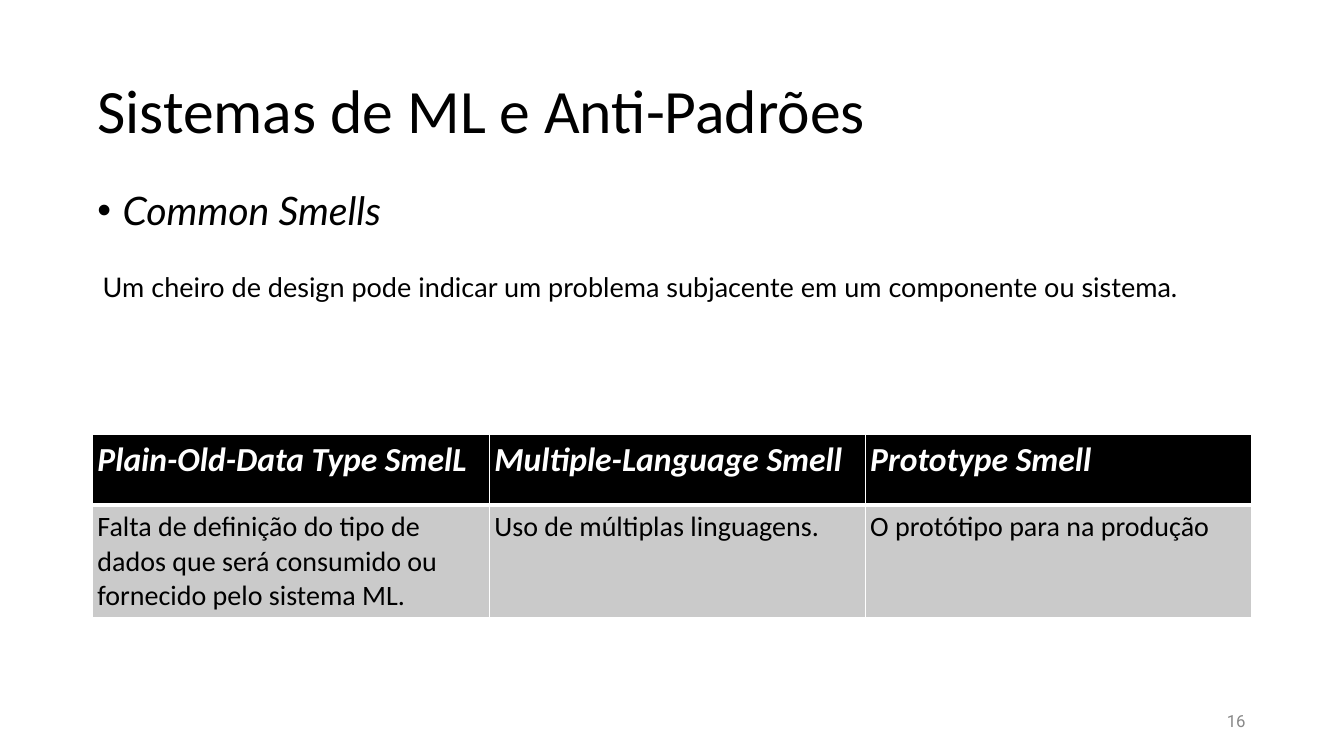
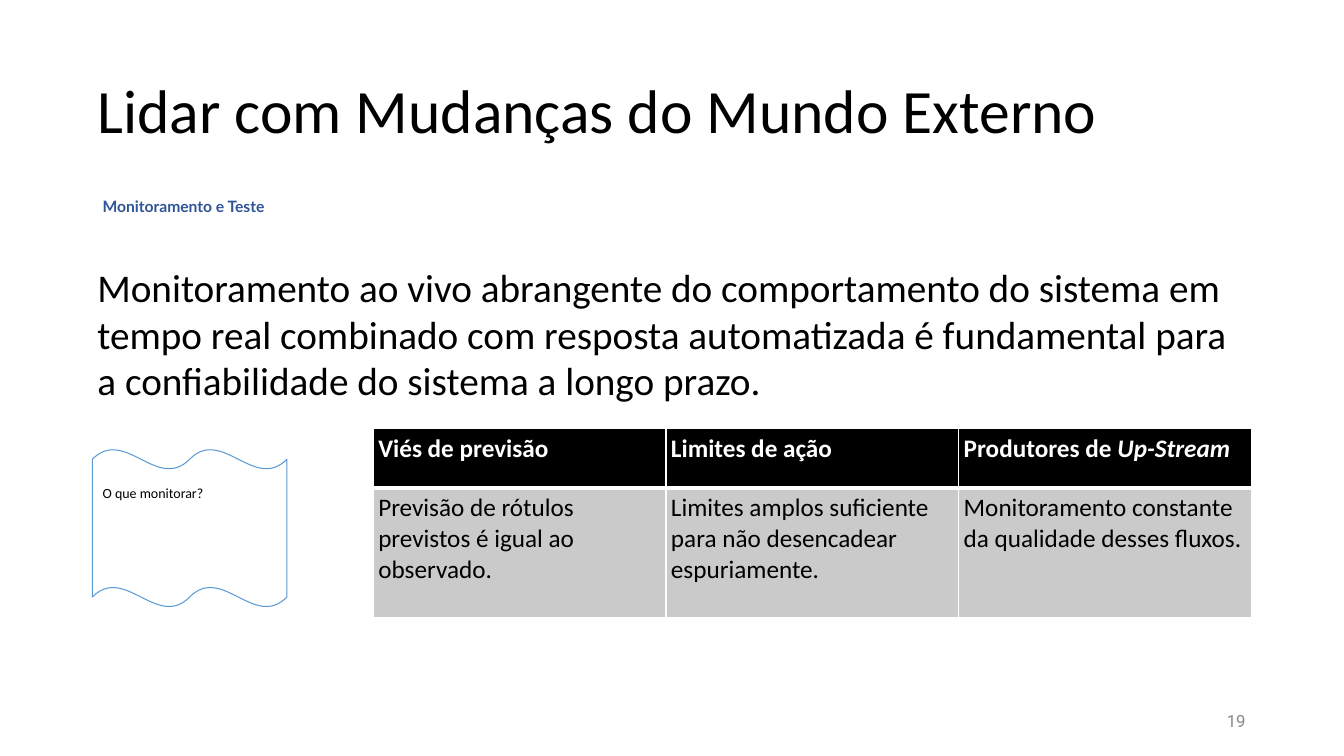
from lxml import etree
from pptx import Presentation
from pptx.dml.color import RGBColor
from pptx.enum.shapes import MSO_SHAPE
from pptx.enum.text import MSO_ANCHOR, MSO_AUTO_SIZE, PP_ALIGN
from pptx.oxml.ns import qn
from pptx.util import Pt

LEFT, RIGHT = PP_ALIGN.LEFT, PP_ALIGN.RIGHT
TOP, MIDDLE = MSO_ANCHOR.TOP, MSO_ANCHOR.MIDDLE
NO_AUTOFIT = MSO_AUTO_SIZE.NONE
DOUBLE_WAVE = MSO_SHAPE.DOUBLE_WAVE
TITLE_AND_CONTENT = 1

COLORS = {
    "text": "000000",
    "white": "FFFFFF",
    "header": "000000",
    "cell": "CACACA",
    "accent": "2F5597",
    "outline": "5B9BD5",
    "number": "888888",
}
MARGIN_X = 66
CONTENT_WIDTH = 828
INSET = 3.6
BULLET_INDENT = 18


def rgb(name):
    return RGBColor.from_string(COLORS[name])


def style_span(span, size, font="Calibri", color="text", bold=False, italic=False):
    span.font.size = Pt(size)
    span.font.name = font
    span.font.color.rgb = rgb(color)
    span.font.bold = bold
    span.font.italic = italic


def place(shape, left, top, width, height):
    shape.left, shape.top = Pt(left), Pt(top)
    shape.width, shape.height = Pt(width), Pt(height)


def write(shape, text, size, spacing=1.0, align=LEFT, anchor=TOP, wrap=True, **style):
    frame = shape.text_frame
    frame.text = text
    frame.auto_size = NO_AUTOFIT
    frame.word_wrap = wrap
    frame.vertical_anchor = anchor
    frame.margin_left = frame.margin_right = Pt(INSET)
    frame.margin_top = frame.margin_bottom = Pt(INSET)
    para = frame.paragraphs[0]
    para.alignment = align
    para.line_spacing = spacing
    para.space_before = Pt(0)
    style_span(para.runs[0], size, **style)


def set_bullet(para, char=None):
    """Give the paragraph a hanging bullet, or none without a character."""
    props = para._p.get_or_add_pPr()
    indent = Pt(BULLET_INDENT) if char else 0
    props.set("marL", str(indent))
    props.set("indent", str(-indent))
    if char:
        etree.SubElement(props, qn("a:buFont")).set("typeface", "Arial")
        etree.SubElement(props, qn("a:buChar")).set("char", char)
    else:
        etree.SubElement(props, qn("a:buNone"))


def add_page(deck, title, number):
    page = deck.slides.add_slide(deck.slide_layouts[TITLE_AND_CONTENT])
    place(page.shapes.title, MARGIN_X, 29, CONTENT_WIDTH, 104.4)
    write(page.shapes.title, title, 44, spacing=0.9, anchor=MIDDLE)
    add_text(page, (873.4, 505.4, 20, 19.4), number, 12, align=RIGHT,
             anchor=MIDDLE, wrap=False, font="Roboto", color="number")
    return page


def fill_body(page, top, height, text, bullet=None, **style):
    body = page.placeholders[1]
    place(body, MARGIN_X, top, CONTENT_WIDTH, height)
    write(body, text, 28, **style)
    set_bullet(body.text_frame.paragraphs[0], bullet)


def add_text(page, bounds, text, size, **style):
    box = page.shapes.add_textbox(*map(Pt, bounds))
    write(box, text, size, **style)


def set_borders(cell, top, bottom):
    """Draw white cell borders; the fill must be set afterwards."""
    props = cell._tc.get_or_add_tcPr()
    for side, width in (("L", 1), ("R", 1), ("T", top), ("B", bottom)):
        line = etree.SubElement(props, qn(f"a:ln{side}"), w=str(Pt(width)))
        fill = etree.SubElement(line, qn("a:solidFill"))
        etree.SubElement(fill, qn("a:srgbClr"), val=COLORS["white"])


def fill_cell(cell, spans, is_header, size):
    """Write (text, italic) spans into a header or content cell."""
    cell.margin_left = cell.margin_right = Pt(INSET)
    cell.margin_top = cell.margin_bottom = Pt(INSET)
    set_borders(cell, *((1, 3) if is_header else (3, 1)))
    cell.fill.solid()
    cell.fill.fore_color.rgb = rgb("header" if is_header else "cell")
    para = cell.text_frame.paragraphs[0]
    for text, italic in spans:
        span = para.add_run()
        span.text = text
        style_span(span, size, color="white" if is_header else "text",
                   bold=is_header, italic=italic)


def add_table(page, left, top, widths, heights, headers, contents, sizes):
    rows = [headers, [[(text, False)] for text in contents]]
    frame = page.shapes.add_table(len(rows), len(widths), Pt(left), Pt(top),
                                  Pt(sum(widths)), Pt(sum(heights)))
    table = frame.table
    for column, width in zip(table.columns, widths):
        column.width = Pt(width)
    for index, (row, height) in enumerate(zip(rows, heights)):
        table.rows[index].height = Pt(height)
        for cell, spans in zip(table.rows[index].cells, row):
            fill_cell(cell, spans, index == 0, sizes[index])


def add_wave(page, left, top, width, height):
    wave = page.shapes.add_shape(DOUBLE_WAVE, Pt(left), Pt(top), Pt(width), Pt(height))
    wave.shadow.inherit = False
    wave.fill.background()
    wave.line.color.rgb = rgb("outline")
    wave.line.width = Pt(0.75)


def add_smells_page(deck):
    page = add_page(deck, "Sistemas de ML e Anti-Padrões", "16")
    fill_body(page, 133.2, 42, "Common Smells", bullet="•", spacing=0.9,
              font="Lato", italic=True)
    add_text(page, (69.8, 192.2, 821, 80.6),
             "Um cheiro de design pode indicar um problema subjacente em um "
             "componente ou sistema.", 19.3, spacing=0.9, font="Lato")
    names = ["Plain-Old-Data Type SmelL", "Multiple-Language Smell", "Prototype Smell"]
    add_table(
        page, MARGIN_X, 310.3, [283.5, 268.5, 276], [50.4, 80],
        [[(name, True)] for name in names],
        ["Falta de definição do tipo de dados que será consumido ou fornecido "
         "pelo sistema ML.",
         "Uso de múltiplas linguagens.",
         "O protótipo para na produção"],
        sizes=(24, 20))


def add_monitoring_page(deck):
    page = add_page(deck, "Lidar com Mudanças do Mundo Externo", "19")
    fill_body(page, 185.8, 113,
              "Monitoramento ao vivo abrangente do comportamento do sistema em tempo "
              "real combinado com resposta automatizada é fundamental para a "
              "confiabilidade do sistema a longo prazo.", spacing=0.99)
    add_text(page, (69.8, 135.4, 764, 49.7), "Monitoramento e Teste", 11.2,
             spacing=1.1, font="Lato", color="accent", bold=True)
    add_text(page, (69.8, 345.6, 177.8, 51), "O que monitorar?", 10, spacing=0.72)
    add_wave(page, MARGIN_X, 321, 139, 112.5)
    add_table(
        page, 266.6, 306, [209.1] * 3, [42.5, 92.9],
        [[("Viés de previsão", False)],
         [("Limites de ação", False)],
         [("Produtores de ", False), ("Up-Stream", True)]],
        ["Previsão de rótulos previstos é igual ao observado.",
         "Limites amplos suficiente para não desencadear espuriamente.",
         "Monitoramento constante da qualidade desses fluxos."],
        sizes=(18, 18))


def main():
    deck = Presentation()
    deck.slide_width, deck.slide_height = Pt(960), Pt(540)
    add_smells_page(deck)
    add_monitoring_page(deck)
    deck.save("out.pptx")


if __name__ == "__main__":
    main()
